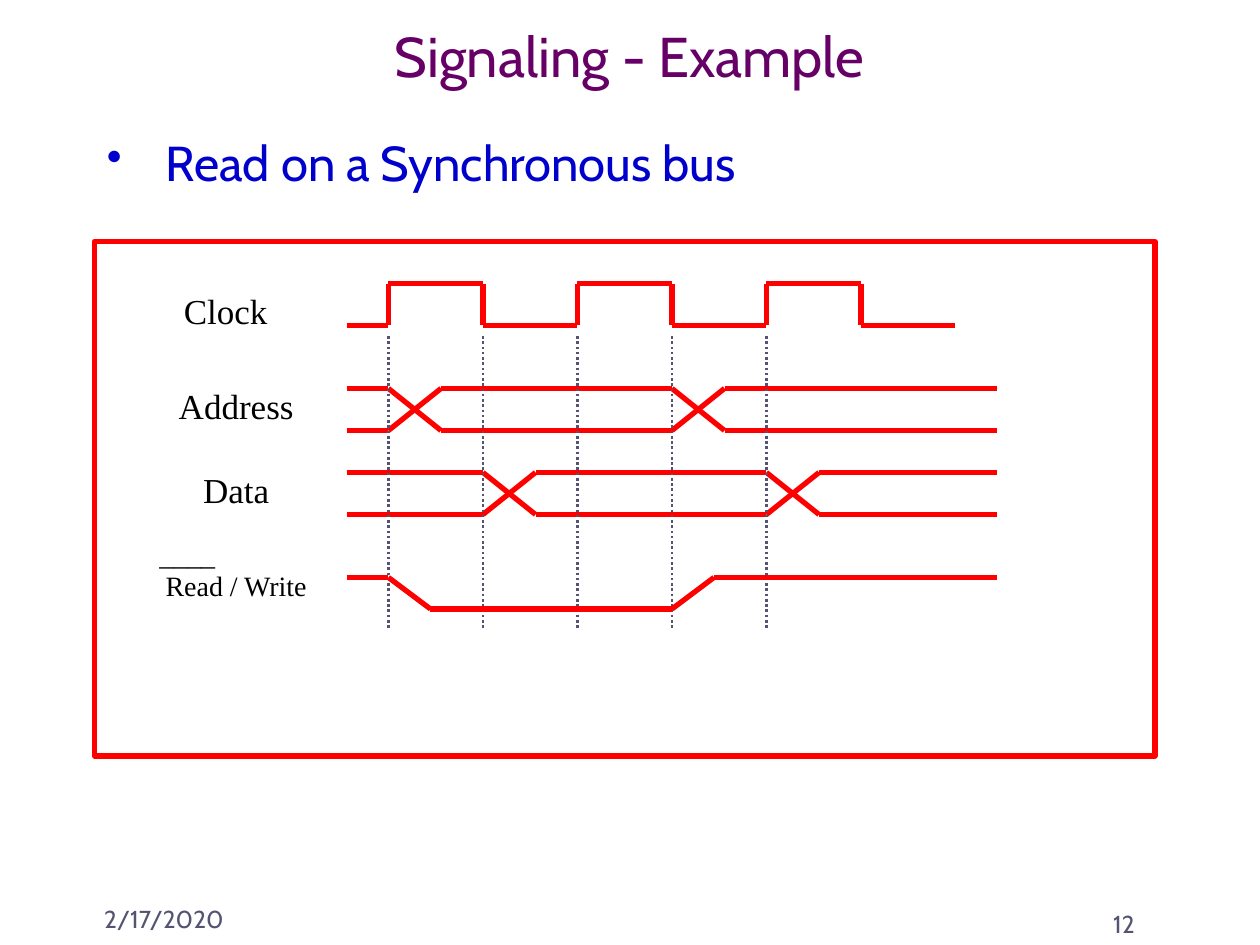
from itertools import pairwise

from lxml import etree
from pptx import Presentation
from pptx.dml.color import RGBColor
from pptx.enum.dml import MSO_LINE
from pptx.enum.shapes import MSO_CONNECTOR, MSO_SHAPE
from pptx.enum.text import MSO_ANCHOR, PP_ALIGN
from pptx.oxml.ns import qn
from pptx.util import Inches, Pt

LEFT, CENTER, RIGHT = PP_ALIGN.LEFT, PP_ALIGN.CENTER, PP_ALIGN.RIGHT
TOP, BOTTOM = MSO_ANCHOR.TOP, MSO_ANCHOR.BOTTOM
STRAIGHT, RECTANGLE = MSO_CONNECTOR.STRAIGHT, MSO_SHAPE.RECTANGLE
DOTTED = MSO_LINE.ROUND_DOT

COLORS = {"title": "660066", "body": "0000CC", "signal": "FF0000",
          "muted": "545472", "label": "000000"}
SANS, SERIF = "Cabin", "Times New Roman"

# The grid has 12 cells to the inch: 120 columns by 90 rows.
CELL = Inches(1) // 12
START, END = 33, 95
FIRST_EDGE, HALF_PERIOD = 37, 9
EDGES = [FIRST_EDGE + HALF_PERIOD * number for number in range(6)]
CROSSING = 5


def cells(*values):
    return [round(value * CELL) for value in values]


class TimingSlide:
    """Draws on one slide, with all lengths in grid cells."""

    def __init__(self, presentation):
        self.slide = presentation.slides.add_slide(presentation.slide_layouts[6])
        self.shapes = self.slide.shapes

    def text(self, box, lines, size, color, font=SANS, aligns=(LEFT,),
             anchor=TOP, spacing=None):
        shape = self.shapes.add_textbox(*cells(*box))
        frame = shape.text_frame
        frame.word_wrap = True
        frame.vertical_anchor = anchor
        frame.text = "\n".join(lines)
        for paragraph, align in zip(frame.paragraphs, aligns):
            formats = {"alignment": align, **(spacing or {})}
            for name, value in formats.items():
                setattr(paragraph, name, value)
            for run in paragraph.runs:
                for name, value in {"name": font, "size": Pt(size)}.items():
                    setattr(run.font, name, value)
                run.font.color.rgb = RGBColor.from_string(COLORS[color])
        return frame

    def bullet(self, box, line, size, color):
        paragraph = self.text(box, [line], size, color).paragraphs[0]
        properties = paragraph._p.get_or_add_pPr()
        indent = Inches(0.38)
        properties.set("marL", str(indent))
        properties.set("indent", str(-indent))
        for tag, name, value in [("a:buSzPct", "val", "90000"),
                                 ("a:buChar", "char", "•")]:
            etree.SubElement(properties, qn(tag)).set(name, value)

    def frame(self, box):
        shape = self.shapes.add_shape(RECTANGLE, *cells(*box))
        shape.shadow.inherit = False
        shape.fill.background()
        self.style_line(shape.line, "signal", 3)

    def style_line(self, line, color, width):
        line.color.rgb = RGBColor.from_string(COLORS[color])
        line.width = Pt(width)

    def line(self, start, end, color="signal", width=3, dash=None, shapes=None):
        connector = (shapes or self.shapes).add_connector(
            STRAIGHT, *cells(*start, *end))
        self.style_line(connector.line, color, width)
        if dash:
            connector.line.dash_style = dash
        etree.SubElement(connector._element.spPr, qn("a:effectLst"))

    def signal(self, *traces):
        """Group the segments that run through each trace's points."""
        group = self.shapes.add_group_shape()
        for points in traces:
            for start, end in pairwise(points):
                self.line(start, end, shapes=group.shapes)

    def clock(self, high, low):
        points, level, other = [(START, low)], low, high
        for edge in EDGES:
            points += [(edge, level), (edge, other)]
            level, other = other, level
        self.signal(points + [(EDGES[-1] + HALF_PERIOD, level)])

    def bus(self, high, low, changes):
        """Draw two levels that swap places at each change."""
        traces = []
        for level, other in [(high, low), (low, high)]:
            points = [(START, level)]
            for column in changes:
                points += [(column, level), (column + CROSSING, other)]
                level, other = other, level
            traces.append(points + [(END, level)])
        self.signal(*traces)


def main():
    presentation = Presentation()
    presentation.slide_width, presentation.slide_height = cells(120, 90)
    page = TimingSlide(presentation)

    page.text((8.75, 85, 21.25, 4.5), ["2/17/2020"], 14, "muted", anchor=BOTTOM)
    page.text((98, 85.5, 11.25, 4.5), ["12"], 14, "muted",
              aligns=[RIGHT], anchor=BOTTOM)
    page.text((9, 2, 102, 7), ["Signaling - Example"], 32, "title",
              aligns=[CENTER], anchor=BOTTOM)
    page.bullet((9, 12, 106, 69), " Read on a Synchronous bus", 28, "body")
    page.frame((9, 23, 101, 49))

    page.clock(high=27, low=31)
    page.bus(high=37, low=41, changes=[EDGES[0], EDGES[3]])
    page.bus(high=45, low=49, changes=[EDGES[1], EDGES[4]])
    for edge in EDGES[:5]:
        page.line((edge, 32), (edge, 60), "muted", 1.5, DOTTED)
    high, low, slope = 55, 58, 4
    page.signal([(START, high), (EDGES[0], high), (EDGES[0] + slope, low),
                 (EDGES[3], low), (EDGES[3] + slope, high), (END, high)])

    for label, left, top in [("Clock", 13, 27), ("Address", 14, 36),
                             ("Data", 14, 44)]:
        page.text((left, top, 17, 5.2), [label], 20, "label", SERIF, [CENTER])
    page.text((14, 52, 17, 6), ["____", "Read / Write"], 16, "label", SERIF,
              [LEFT, CENTER], spacing={"line_spacing": 0.5, "space_before": Pt(8)})

    presentation.save("out.pptx")


if __name__ == "__main__":
    main()
